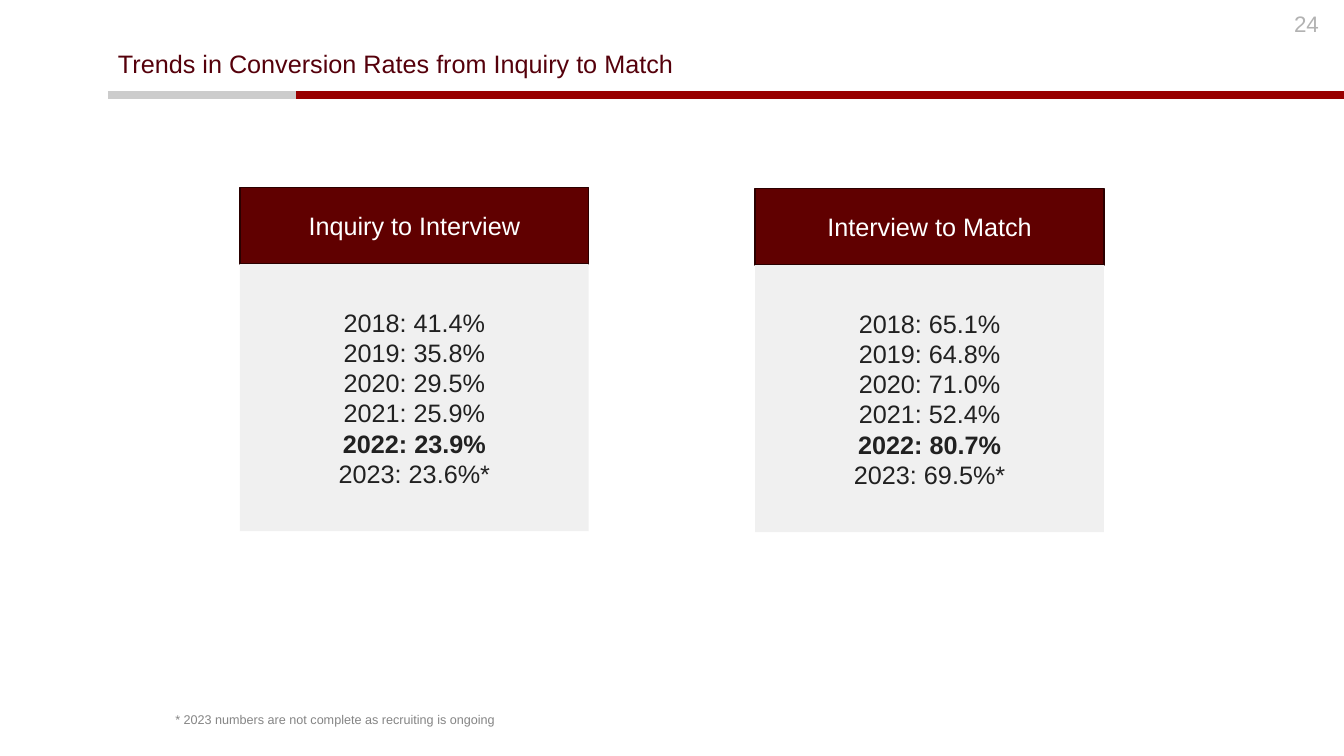
import pptx
import pptx.dml.color
import pptx.enum.shapes
import pptx.enum.text
import pptx.oxml
import pptx.util
from pptx.util import Inches

# Content
TITLE = "Trends in Conversion Rates from Inquiry to Match"
PAGE_NUMBER = "24"
FOOTNOTE = "* 2023 numbers are not complete as recruiting is ongoing"
BOLD_YEAR = "2022"
CARDS = [
    {"heading": "Inquiry to Interview", "left": 2.38, "top": 1.86,
     "rates": ["2018: 41.4%", "2019: 35.8%", "2020: 29.5%",
               "2021: 25.9%", "2022: 23.9%", "2023: 23.6%*"]},
    {"heading": "Interview to Match", "left": 7.49, "top": 1.87,
     "rates": ["2018: 65.1%", "2019: 64.8%", "2020: 71.0%",
               "2021: 52.4%", "2022: 80.7%", "2023: 69.5%*"]},
]

# Layout in inches
SLIDE_WIDTH, SLIDE_HEIGHT = 13.33, 7.5
RULE_TOP = 0.94
RULES = [(2.94, SLIDE_WIDTH, "990000"), (1.07, 2.94, "CCCCCC")]
CARD_WIDTH, HEADING_HEIGHT, RATES_HEIGHT = 3.46, 0.76, 2.65

ALIGN = pptx.enum.text.PP_ALIGN
ANCHOR = pptx.enum.text.MSO_ANCHOR


def color(hex_text):
    return pptx.dml.color.RGBColor.from_string(hex_text)


def write(shape, lines, size, hex_text, align=ALIGN.LEFT, anchor=ANCHOR.TOP, wrap=True):
    frame = shape.text_frame
    frame.text = "\n".join(lines)
    frame_format = {"word_wrap": wrap, "vertical_anchor": anchor,
                    "auto_size": pptx.enum.text.MSO_AUTO_SIZE.NONE}
    for name, value in frame_format.items():
        setattr(frame, name, value)
    for paragraph in frame.paragraphs:
        paragraph.alignment = align
        font_format = {"name": "Arial", "size": pptx.util.Pt(size),
                       "bold": paragraph.text.startswith(BOLD_YEAR)}
        for run in paragraph.runs:
            for name, value in font_format.items():
                setattr(run.font, name, value)
            run.font.color.rgb = color(hex_text)


def add_text(slide, box, text, *text_format, **options):
    shape = slide.shapes.add_textbox(*map(Inches, box))
    write(shape, [text], *text_format, **options)


def add_panel(slide, box, fill, line, lines, text_color):
    shape = slide.shapes.add_shape(
        pptx.enum.shapes.MSO_SHAPE.RECTANGLE, *map(Inches, box))
    shape.shadow.inherit = False
    shape.fill.solid()
    shape.fill.fore_color.rgb = color(fill)
    if line:
        shape.line.color.rgb = color(line)
        shape.line.width = pptx.util.Pt(1)
    else:
        shape.line.fill.background()
    write(shape, lines, 18, text_color, ALIGN.CENTER, ANCHOR.MIDDLE)


def add_rule(slide, start, end, hex_text):
    rule = slide.shapes.add_connector(
        pptx.enum.shapes.MSO_CONNECTOR.STRAIGHT,
        *map(Inches, (start, RULE_TOP, end, RULE_TOP)))
    rule.line.color.rgb = color(hex_text)
    rule.line.width = pptx.util.Pt(6)
    properties = rule.element.spPr
    properties.append(pptx.oxml.parse_xml(
        '<a:effectLst xmlns:a="http://schemas.openxmlformats.org/drawingml/2006/main"/>'))


def main():
    presentation = pptx.Presentation()
    presentation.slide_width = Inches(SLIDE_WIDTH)
    presentation.slide_height = Inches(SLIDE_HEIGHT)
    slide = presentation.slides.add_slide(presentation.slide_layouts[5])

    # Title and the rule beneath it
    title = slide.shapes.title
    position = {"left": 1.07, "top": 0.46, "width": 11.63, "height": 0.41}
    for name, value in position.items():
        setattr(title, name, Inches(value))
    write(title, [TITLE], 18, "55000B")
    title.text_frame.paragraphs[0].line_spacing = 0.9
    for start, end, hex_text in RULES:
        add_rule(slide, start, end, hex_text)

    # Page number
    add_text(slide, (12.58, 0.05, 0.6, 0.4), PAGE_NUMBER, 16, "B2B2B2", ALIGN.RIGHT)

    # Cards: heading above yearly rates
    for card in CARDS:
        left, top = card["left"], card["top"]
        add_panel(slide, (left, top, CARD_WIDTH, HEADING_HEIGHT),
                  "600000", "2A0000", [card["heading"]], "FFFFFF")
        add_panel(slide, (left, top + HEADING_HEIGHT, CARD_WIDTH, RATES_HEIGHT),
                  "F0F0F0", None, card["rates"], "212121")

    # Footnote
    add_text(slide, (1.64, 7.01, 3.46, 0.25), FOOTNOTE, 9, "858585", wrap=False)

    presentation.save("out.pptx")


if __name__ == "__main__":
    main()
